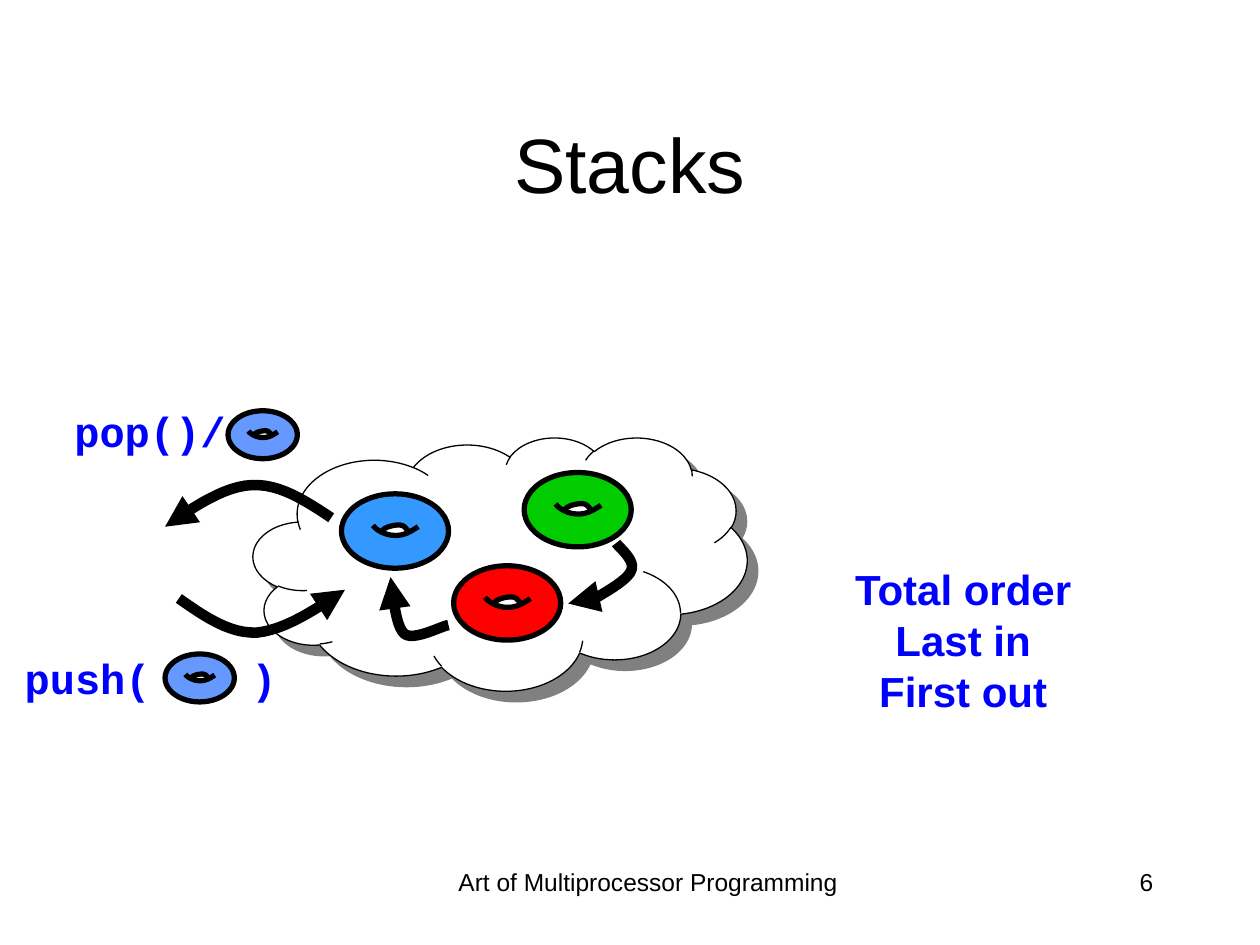
from dataclasses import dataclass

from lxml import etree
from pptx import Presentation
from pptx.dml.color import RGBColor
from pptx.enum.shapes import MSO_SHAPE
from pptx.enum.text import MSO_ANCHOR, PP_ALIGN
from pptx.oxml.ns import qn
from pptx.util import Pt

OVAL, CLOUD = MSO_SHAPE.OVAL, MSO_SHAPE.CLOUD
LEFT, MID, RIGHT = PP_ALIGN.LEFT, PP_ALIGN.CENTER, PP_ALIGN.RIGHT
TOP, CENTER = MSO_ANCHOR.TOP, MSO_ANCHOR.MIDDLE


@dataclass(frozen=True)
class Theme:
    """Colours, fonts and sizes of the slide."""
    ink: str = "000000"
    paper: str = "FFFFFF"
    shade: str = "808080"
    call: str = "0000FF"
    item: str = "6699FF"
    blue: str = "3399FF"
    red: str = "FF0000"
    green: str = "00CC00"
    sans: str = "Arial"
    mono: str = "Courier New"
    title: int = 44
    body: int = 24
    small: int = 14
    thin: float = 0.75
    bold: int = 3
    thick: int = 6


THEME = Theme()
GRID = (85, 59)
HOLE = [(32, 30), (35, 32), (40, 33), (45, 33), (48, 33), (50, 33), (53, 32),
        (51, 31), (51, 27), (48, 26), (44, 24), (36, 27), (32, 30)]
UPPER = [(32, 30), (33, 28), (36, 26), (42, 25), (50, 24), (50, 26), (54, 31)]
LOWER = [(25, 25), (28, 29), (35, 33), (43, 33), (50, 33), (55, 30), (61, 26)]


def paint(shape, fill, width):
    """Set the fill, black outline and lack of shadow of a shape."""
    shape.shadow.inherit = False
    if fill:
        shape.fill.solid()
        shape.fill.fore_color.rgb = RGBColor.from_string(fill)
    else:
        shape.fill.background()
    shape.line.color.rgb = RGBColor.from_string(THEME.ink)
    shape.line.width = Pt(width)


def write(slide, box, lines, size, align=MID, font=THEME.sans,
          color=THEME.ink, bold=False, anchor=TOP, tab=None, wrap=True):
    """Write lines of text in a box, with an optional tab stop."""
    area = slide.shapes.add_textbox(*map(Pt, box))
    frame = area.text_frame
    frame.word_wrap = wrap
    frame.vertical_anchor = anchor
    for num, line in enumerate(lines):
        para = frame.paragraphs[0] if num == 0 else frame.add_paragraph()
        para.text = line
        para.alignment = align
        if tab:
            stops = etree.SubElement(para._p.get_or_add_pPr(), qn("a:tabLst"))
            etree.SubElement(stops, qn("a:tab"), pos=str(Pt(tab)), algn="l")
        if bold:
            para.line_spacing = 0.8
            para.space_before = Pt(6 if num else 0)
        para.font.name = font
        para.font.size = Pt(size)
        para.font.bold = bold
        para.font.color.rgb = RGBColor.from_string(color)


def bend(knots, steps=12):
    """Return points along a chain of cubic curves."""
    points = [knots[0]]
    for at in range(0, len(knots) - 1, 3):
        quad = knots[at:at + 4]
        for step in range(1, steps + 1):
            t = step / steps
            parts = ((1 - t) ** 3, 3 * t * (1 - t) ** 2,
                     3 * t * t * (1 - t), t ** 3)
            points.append(tuple(sum(k * p[axis] for k, p in zip(parts, quad))
                                for axis in (0, 1)))
    return points


def trace(shapes, left, top, knots, scale, width, fill=None):
    """Draw a curve whose knots are scaled and set off from a corner."""
    points = [(Pt(left + x * scale[0]), Pt(top + y * scale[1]))
              for x, y in bend(knots)]
    pen = shapes.build_freeform(*points[0])
    pen.add_line_segments(points[1:], close=bool(fill))
    shape = pen.convert_to_shape()
    paint(shape, fill, width)
    return shape


def arrow(slide, left, top, knots):
    """Draw a thick curved arrow with knots in points."""
    shape = trace(slide.shapes, left, top, knots, (1, 1), THEME.thick)
    line = shape.line._get_or_add_ln()
    etree.SubElement(line, qn("a:tailEnd"), type="triangle")


def donut(slide, left, top, wide, high, color):
    """Draw a grouped ring item that fills a box."""
    shapes = slide.shapes.add_group_shape().shapes
    ring = shapes.add_shape(OVAL, Pt(left), Pt(top), Pt(wide), Pt(high))
    paint(ring, color, THEME.bold)
    scale = (wide / GRID[0], high / GRID[1])
    trace(shapes, left, top, HOLE, scale, THEME.thin, THEME.paper)
    for knots in (UPPER, LOWER):
        trace(shapes, left, top, knots, scale, THEME.bold)


def stack(slide, left, top, wide, high):
    """Draw the cloud that holds the linked items."""
    cloud = slide.shapes.add_shape(CLOUD, Pt(left), Pt(top), Pt(wide), Pt(high))
    paint(cloud, THEME.paper, THEME.thin)
    shade = etree.SubElement(
        cloud._element.spPr.find(qn("a:effectLst")), qn("a:outerShdw"),
        dist=str(Pt(8.5)), dir="2700000", algn="ctr", rotWithShape="0")
    etree.SubElement(shade, qn("a:srgbClr"), val=THEME.shade)
    for x, y, color in ((50.4, 32.4, THEME.blue), (114.5, 73.5, THEME.red),
                        (154.8, 20.2, THEME.green)):
        donut(slide, left + x, top + y, 61.2, 42.5, color)
    arrow(slide, left + 180, top + 60.5,
          [(27.4, 0), (28.8, 2.2), (38.9, 10.1), (36, 15.8), (33.8, 21.6),
           (18.7, 29.5), (13, 33.1), (7.2, 36), (5, 36), (0, 34.6)])
    arrow(slide, left + 78.5, top + 80,
          [(33.1, 27.4), (28.8, 28.1), (13, 36.7), (7.9, 32.4),
           (2.2, 27.4), (1.4, 7.2), (0, 0)])


def calls(slide, left, top):
    """Draw the pop and push calls with their items and arrows."""
    style = dict(size=THEME.body, font=THEME.mono, color=THEME.call,
                 bold=True, wrap=False)
    write(slide, (left + 10.3, top, 136.8, 30.2), ["pop()/"], **style)
    write(slide, (left, top + 141, 158.4, 30.2), ["push(\t)"],
          align=LEFT, tab=129.6, **style)
    for x, y in ((123.3, 0.7), (87.3, 139.7)):
        donut(slide, left + x, top + y, 39.6, 27.4, THEME.item)
    arrow(slide, left + 87.3, top + 42.5,
          [(95, 19.4), (79.9, 9.4), (65.5, 0), (49.7, 0.7),
           (33.8, 1.4), (16.6, 13), (0, 24.5)])
    arrow(slide, left + 95.2, top + 103,
          [(0, 5), (14.4, 15.1), (28.8, 25.2), (44.6, 24.5),
           (60.5, 23), (77.8, 11.5), (95, 0)])


def main():
    """Build and save the slide."""
    deck = Presentation()
    deck.slide_width, deck.slide_height = Pt(720), Pt(540)
    slide = deck.slides.add_slide(deck.slide_layouts[6])
    write(slide, (246.2, 491.8, 248.4, 36),
          ["Art of Multiprocessor Programming"], THEME.small)
    write(slide, (516.2, 491.8, 149.8, 36), ["6"], THEME.small, RIGHT)
    write(slide, (54, 48, 612, 90), ["Stacks"], THEME.title, anchor=CENTER)
    stack(slide, 144.7, 249.8, 282.2, 144.7)
    calls(slide, 7, 234)
    write(slide, (462.2, 324, 176.4, 88.6),
          ["Total order", "Last in", "First out"], THEME.body,
          color=THEME.call, bold=True, wrap=False)
    deck.save("out.pptx")


if __name__ == "__main__":
    main()
